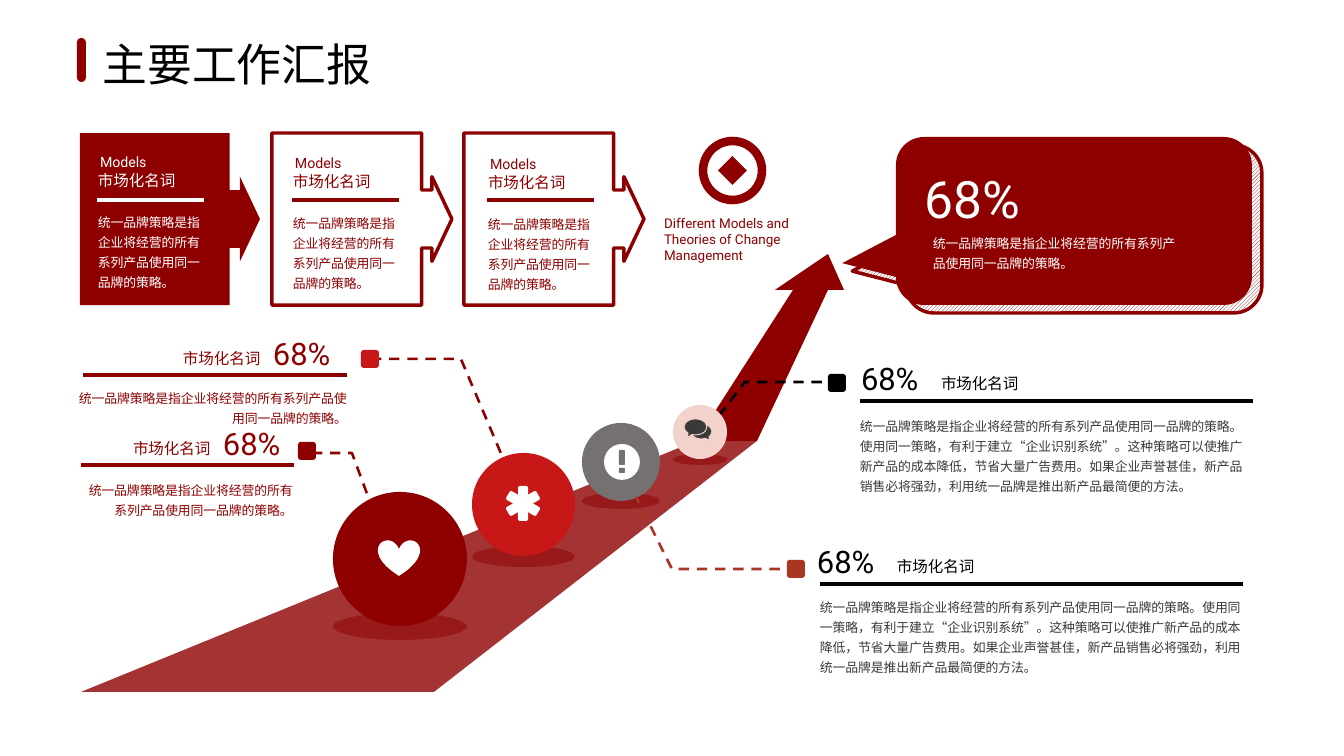
from dataclasses import dataclass

from lxml.etree import SubElement
from pptx import Presentation
from pptx.dml.color import RGBColor
from pptx.enum.dml import MSO_LINE, MSO_PATTERN
from pptx.enum.shapes import MSO_CONNECTOR, MSO_SHAPE
from pptx.enum.text import MSO_ANCHOR, MSO_AUTO_SIZE, PP_ALIGN
from pptx.oxml.ns import qn
from pptx.util import Pt

EMU_PER_PX = 914400 / 134.4


@dataclass(frozen=True)
class Theme:
    red: str = "8E0000"
    bright: str = "C71717"
    rust: str = "A83623"
    grey: str = "767171"
    pink: str = "F4D2CC"
    dark: str = "3B3838"
    black: str = "000000"
    white: str = "FFFFFF"
    title_font: str = "Cabin"
    font: str = "Roboto"
    title: float = 24
    hero: float = 27.6
    number: float = 16.6
    noun: float = 8.3
    model: float = 7.6
    caption: float = 7.2
    body: float = 6.9
    rule: float = 1.84
    dash: float = 1.38


THEME = Theme()
NOUN = "市场化名词"
SHORT = "统一品牌策略是指企业将经营的所有系列产品使用同一品牌的策略。"
LONG = SHORT + (
    "使用同一策略，有利于建立“企业识别系统”。这种策略可以使推广新产品的成本降低，"
    "节省大量广告费用。如果企业声誉甚佳，新产品销售必将强劲，利用统一品牌是推出新产品最简便的方法。"
)


def px(length):
    return round(length * EMU_PER_PX)


def rgb(color):
    return RGBColor.from_string(color)


def style(shape, fill=None, line=None, width=THEME.rule, alpha=None):
    shape.shadow.inherit = False
    if fill:
        shape.fill.solid()
        shape.fill.fore_color.rgb = rgb(fill)
        if alpha:
            color = shape.element.spPr.find(qn("a:solidFill"))[0]
            SubElement(color, qn("a:alpha")).set("val", str(alpha * 1000))
    else:
        shape.fill.background()
    if line:
        shape.line.color.rgb = rgb(line)
        shape.line.width = Pt(width)
    else:
        shape.line.fill.background()


def add_preset(page, kind, frame, adjust=(), **look):
    shape = page.shapes.add_shape(kind, *map(px, frame))
    for index, value in enumerate(adjust):
        shape.adjustments[index] = value
    style(shape, **look)
    return shape


def add_outline(page, points, closed=True, **look):
    builder = page.shapes.build_freeform(*points[0], scale=EMU_PER_PX)
    builder.add_line_segments(points[1:], close=closed)
    shape = builder.convert_to_shape()
    style(shape, **look)
    return shape


def add_rule(page, left, right, y, color):
    rule = page.shapes.add_connector(
        MSO_CONNECTOR.STRAIGHT, px(left), px(y), px(right), px(y))
    rule.line.color.rgb = rgb(color)
    rule.line.width = Pt(THEME.rule)
    SubElement(rule.element.spPr, qn("a:effectLst"))


def add_text(page, text, frame, size, color, spacing=None, inset=0, align=PP_ALIGN.LEFT):
    box = page.shapes.add_textbox(*map(px, frame)).text_frame
    box.word_wrap = True
    box.margin_left = box.margin_right = box.margin_top = box.margin_bottom = px(inset)
    para = box.paragraphs[0]
    para.text = text
    para.alignment = align
    if spacing:
        para.line_spacing = spacing
    para.font.name = THEME.font
    para.font.size = Pt(size)
    para.font.color.rgb = rgb(color)


def add_noun(page, left, top, color):
    add_text(page, NOUN, (left, top, 101, 31), THEME.noun, color, 0.9)


def add_title(page, text):
    title = page.shapes.title
    title.left, title.top, title.width, title.height = map(px, (89, 30, 298, 67))
    frame = title.text_frame
    frame.text = text
    frame.word_wrap = False
    frame.auto_size = MSO_AUTO_SIZE.NONE
    frame.vertical_anchor = MSO_ANCHOR.TOP
    para = frame.paragraphs[0]
    para.alignment = PP_ALIGN.LEFT
    para.font.name = THEME.title_font
    para.font.size = Pt(THEME.title)
    para.font.color.rgb = rgb(THEME.black)
    add_preset(page, MSO_SHAPE.ROUNDED_RECTANGLE, (77, 38, 9, 44), [0.5], fill=THEME.red)


def add_model_card(page, index, fill, line, ink):
    add_preset(page, MSO_SHAPE.RIGHT_ARROW_CALLOUT, (80 + 192 * index, 133, 180, 172),
               (0.337, 0.246, 0.116, 0.832), fill=fill, line=line)
    left = 97 + 195 * index
    add_text(page, "Models", (left, 150 + index, 137, 23), THEME.model, ink, inset=3)
    add_noun(page, left + 1, 173 + index, ink)
    add_rule(page, left, left + 107, 200, ink)
    add_text(page, SHORT, (left + 1, 210 + index, 114, 67), THEME.body, ink, 1.3)


def add_speech_callout(page):
    kind, adjust = MSO_SHAPE.ROUNDED_RECTANGULAR_CALLOUT, (-0.651, 0.251, 0.167)
    hatched = add_preset(page, kind, (906, 145, 356, 168), adjust, line=THEME.red)
    hatched.fill.patterned()
    hatched.fill.pattern = MSO_PATTERN.DARK_UPWARD_DIAGONAL
    hatched.fill.fore_color.rgb = rgb(THEME.red)
    hatched.fill.back_color.rgb = rgb(THEME.white)
    add_preset(page, kind, (896, 137, 356, 168), adjust, fill=THEME.red)
    add_text(page, "68%", (925, 167, 121, 62), THEME.hero, THEME.white)
    add_text(page, SHORT, (933, 231, 251, 67), THEME.body, THEME.white, 1.3)


def add_road(page):
    add_outline(page, [(81, 692), (434, 692), (757, 441), (696, 441)],
                fill=THEME.red, alpha=80)
    add_outline(page, [(844, 290), (828, 254), (775, 290), (793, 290),
                       (696, 441), (757, 441), (828, 290)], fill=THEME.red)


def add_ball(page, left, top, size, color):
    """Draw a disc with its flat shadow on the road."""
    add_preset(page, MSO_SHAPE.OVAL, (left, top + round(0.9 * size), size, round(0.2 * size)),
               fill=THEME.red, alpha=50)
    add_preset(page, MSO_SHAPE.OVAL, (left, top, size, size), fill=color)


def add_leader(page, points, square, color, square_color):
    leader = add_outline(page, points, closed=False, line=color, width=THEME.dash)
    leader.line.dash_style = MSO_LINE.DASH
    add_preset(page, MSO_SHAPE.ROUNDED_RECTANGLE, (*square, 18, 18), fill=square_color)


def add_icons(page):
    add_preset(page, MSO_SHAPE.HEART, (378, 540, 42, 36), fill=THEME.white)
    for angle in (0, 60, 120):
        bar = add_preset(page, MSO_SHAPE.ROUNDED_RECTANGLE, (518, 486, 10, 35), [0.2],
                         fill=THEME.white)
        bar.rotation = angle
    add_preset(page, MSO_SHAPE.OVAL, (604, 444, 36, 36), fill=THEME.white)
    for top, height in ((450, 15), (468, 5)):
        add_preset(page, MSO_SHAPE.ROUNDED_RECTANGLE, (619, top, 6, height), fill=THEME.grey)
    for frame, tail in (((691, 424, 21, 15), (0.4, 0.6)), ((684, 419, 23, 16), (-0.37, 0.67))):
        add_preset(page, MSO_SHAPE.OVAL_CALLOUT, frame, tail,
                   fill=THEME.dark, line=THEME.pink, width=0.5)


def add_badge(page):
    add_preset(page, MSO_SHAPE.OVAL, (703, 141, 59, 59),
               fill=THEME.white, line=THEME.red, width=4.6)
    add_preset(page, MSO_SHAPE.DIAMOND, (718, 156, 29, 29), fill=THEME.red)
    add_text(page, "Different Models and Theories of Change Management",
             (661, 212, 163, 54), THEME.caption, THEME.red, inset=3)


def add_stat(page, number_at, noun_shift, rule, text, body, ink, body_ink, align):
    left, top = number_at
    add_text(page, "68%", (left, top, 81, 38), THEME.number, ink)
    add_noun(page, left + noun_shift, top + 16, ink)
    add_rule(page, *rule, ink)
    add_text(page, text, body, THEME.body, body_ink, 1.3, align=align)


def main():
    deck = Presentation()
    deck.slide_width, deck.slide_height = px(1344), px(756)
    page = deck.slides.add_slide(deck.slide_layouts[5])
    add_title(page, "主要工作汇报")

    add_model_card(page, 0, THEME.red, None, THEME.white)
    for index in (1, 2):
        add_model_card(page, index, THEME.white, THEME.red, THEME.red)
    add_badge(page)
    add_speech_callout(page)

    add_road(page)
    add_ball(page, 333, 492, 134, THEME.red)
    add_ball(page, 582, 423, 78, THEME.grey)
    for points, square, color, square_color in (
        ([(312, 453), (352, 453), (372, 507)], (298, 442), THEME.red, THEME.red),
        ([(371, 359), (461, 359), (508, 470)], (361, 350), THEME.red, THEME.bright),
        ([(798, 569), (672, 569), (636, 497)], (787, 560), THEME.rust, THEME.rust),
        ([(840, 382), (745, 382), (718, 417)], (828, 374), THEME.black, THEME.black),
    ):
        add_leader(page, points, square, color, square_color)
    add_ball(page, 472, 453, 103, THEME.bright)
    add_ball(page, 673, 405, 54, THEME.pink)
    add_icons(page)

    for number_at, rule, body in (
        ((273, 335), (83, 347, 375), (71, 386, 276, 67)),
        ((223, 425), (81, 294, 465), (82, 478, 211, 67)),
    ):
        add_stat(page, number_at, -90, rule, SHORT, body, THEME.red, THEME.red, PP_ALIGN.RIGHT)
    for number_at, rule, body in (
        ((861, 360), (860, 1253, 401), (860, 414, 392, 118)),
        ((817, 543), (820, 1243, 584), (820, 595, 429, 67)),
    ):
        add_stat(page, number_at, 80, rule, LONG, body, THEME.black, THEME.dark, PP_ALIGN.LEFT)
    deck.save("out.pptx")


if __name__ == "__main__":
    main()
